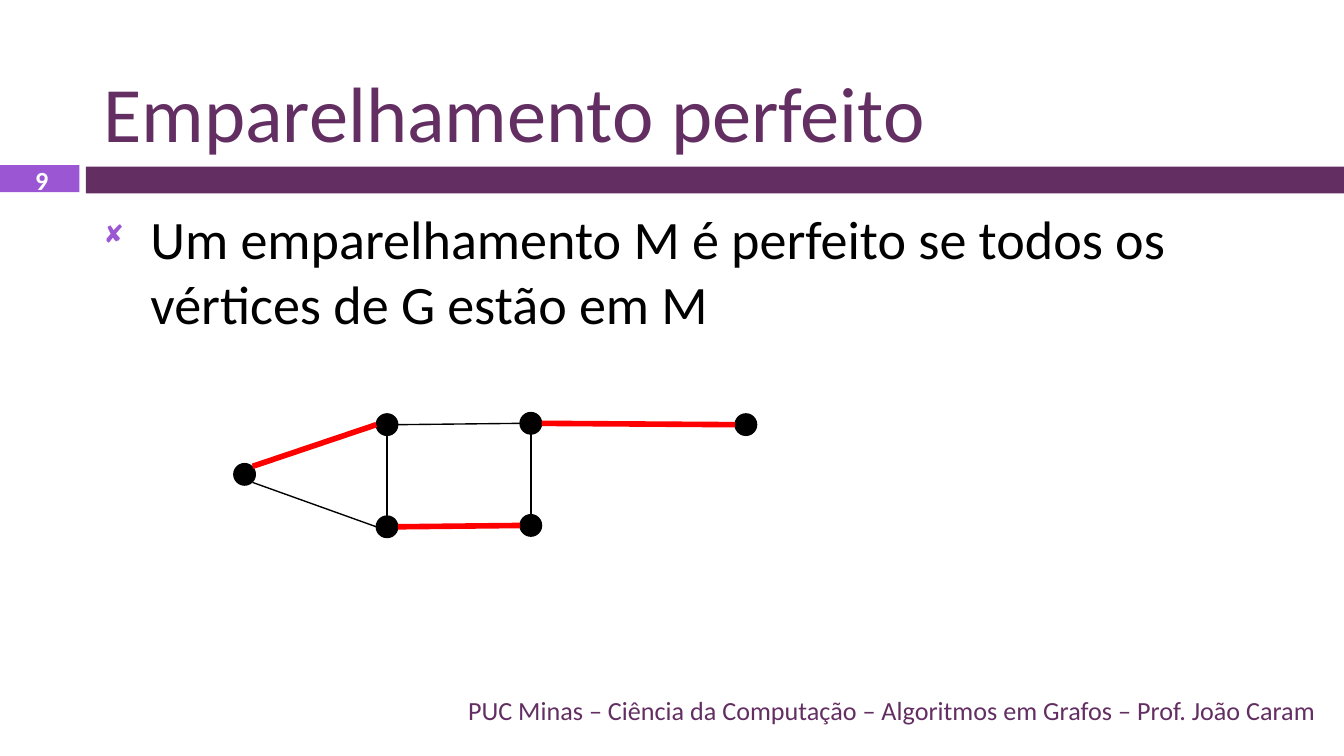
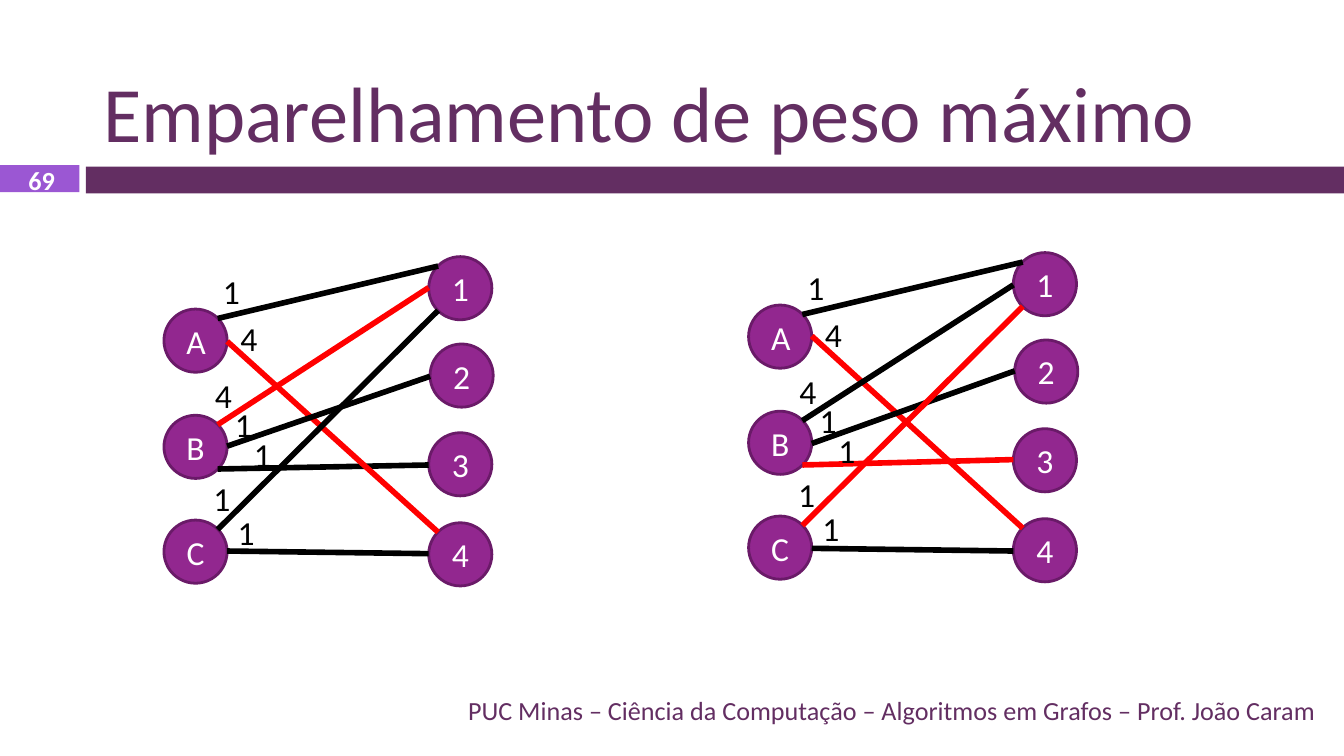
from dataclasses import dataclass
from math import cos, radians, sin

from lxml.etree import SubElement
from pptx import Presentation
from pptx.dml.color import RGBColor as Rgb
from pptx.enum.shapes import MSO_CONNECTOR as Connector
from pptx.enum.shapes import MSO_SHAPE as Preset
from pptx.enum.text import MSO_ANCHOR as Anchor
from pptx.enum.text import MSO_AUTO_SIZE as AutoSize
from pptx.enum.text import PP_ALIGN as Align
from pptx.oxml.ns import qn
from pptx.util import Emu, Pt

EMU_PER_PX = 9144
RIGHT, BOTTOM_RIGHT, BOTTOM, BOTTOM_LEFT = 0, 45, 90, 135
LEFT, TOP_LEFT, TOP, TOP_RIGHT = 180, 225, 270, 315


@dataclass(frozen=True)
class Theme:
    font: str = "Calibri"
    bullet_font: str = "Wingdings"
    plum: Rgb = Rgb(0x63, 0x2E, 0x62)
    violet: Rgb = Rgb(0x9B, 0x57, 0xD3)
    purple: Rgb = Rgb(0x92, 0x27, 0x8F)
    outline: Rgb = Rgb(0x6A, 0x1A, 0x68)
    black: Rgb = Rgb(0, 0, 0)
    white: Rgb = Rgb(255, 255, 255)
    red: Rgb = Rgb(255, 0, 0)
    title: int = 42
    body: int = 29
    label: int = 18
    small: int = 14
    thin: float = 0.75
    rim: float = 1.5
    thick: float = 3


THEME = Theme()
FOOTER = "PUC Minas – Ciência da Computação – Algoritmos em Grafos – Prof. João Caram"

VERTEX_SIZE = 16
VERTICES = {
    "top left": (280, 308),
    "top right": (387, 307),
    "bottom left": (280, 384),
    "bottom right": (387, 383),
    "west": (174, 345),
    "east": (547, 308),
}
GRAPH_EDGES = [
    ("bottom left", TOP, "top left", BOTTOM, False),
    ("top right", LEFT, "top left", RIGHT, False),
    ("top right", BOTTOM, "bottom right", TOP, False),
    ("bottom right", LEFT, "bottom left", RIGHT, True),
    ("east", LEFT, "top right", RIGHT, True),
    ("top left", LEFT, "west", TOP_RIGHT, True),
    ("bottom left", LEFT, "west", BOTTOM_RIGHT, False),
]

NODE_SIZE = 47
NODES = {
    "A": (122, 230),
    "B": (122, 309),
    "C": (122, 387),
    "4": (319, 389),
    "3": (319, 322),
    "1": (319, 191),
    "2": (320, 256),
}
WEIGHTED_EDGES = [
    ("A", TOP_RIGHT, "1", TOP_LEFT, "1", (156, 197)),
    ("B", BOTTOM_RIGHT, "3", LEFT, "1", (179, 318)),
    ("A", RIGHT, "4", TOP_LEFT, "4", (169, 232)),
    ("B", RIGHT, "2", LEFT, "1", (165, 296)),
    ("C", TOP_RIGHT, "1", BOTTOM_LEFT, "1", (149, 351)),
    ("C", RIGHT, "4", LEFT, "1", (167, 376)),
    ("B", TOP_RIGHT, "1", LEFT, "4", (150, 274)),
]
MATCHINGS = [
    ((0, 0), {"A4", "B1"}),
    ((435, -3), {"A4", "B3", "C1"}),
]


def px(length):
    return Emu(length * EMU_PER_PX)


def apply(target, values):
    for name, value in values.items():
        setattr(target, name, value)


def write(shape, text, size, color, bold=False, align=Align.LEFT,
          anchor=Anchor.MIDDLE, wrap=True):
    frame = shape.text_frame
    apply(frame, {
        "word_wrap": wrap,
        "vertical_anchor": anchor,
        "margin_left": px(10),
        "margin_top": px(5),
        "margin_right": px(10),
        "margin_bottom": px(5),
    })
    para = frame.paragraphs[0]
    para.alignment = align
    span = para.add_run()
    span.text = text
    apply(span.font, {"name": THEME.font, "size": Pt(size), "bold": bold})
    span.font.color.rgb = color
    return para


def add_text(page, area, text, size, color, **options):
    box = page.shapes.add_textbox(*map(px, area))
    para = write(box, text, size, color, **options)
    return box, para


def add_filled(page, preset, area, fill, line=None, width=0):
    shape = page.shapes.add_shape(preset, *map(px, area))
    shape.shadow.inherit = False
    shape.fill.solid()
    shape.fill.fore_color.rgb = fill
    if line is None:
        shape.line.fill.background()
    else:
        shape.line.color.rgb = line
        shape.line.width = Pt(width)
    return shape


def add_edge(page, start, end, color, width):
    edge = page.shapes.add_connector(Connector.STRAIGHT, *map(px, start + end))
    edge.line.color.rgb = color
    edge.line.width = Pt(width)
    SubElement(edge._element.spPr, qn("a:effectLst"))


def rim_point(corner, size, angle):
    radius = size / 2
    left, top = corner
    return (round(left + radius + radius * cos(radians(angle))),
            round(top + radius + radius * sin(radians(angle))))


def add_bullet(para, char, color, percent, indent):
    props = para._p.get_or_add_pPr()
    props.set("marL", str(px(indent)))
    props.set("indent", str(-px(indent)))
    fill = SubElement(props, qn("a:buClr"))
    SubElement(fill, qn("a:srgbClr"), val=str(color))
    SubElement(props, qn("a:buSzPct"), val=str(percent * 1000))
    SubElement(props, qn("a:buFont"), typeface=THEME.bullet_font)
    SubElement(props, qn("a:buChar"), char=char)


def add_page(deck, title, number):
    page = deck.slides.add_slide(deck.slide_layouts[6])
    add_filled(page, Preset.RECTANGLE, (64, 124, 937, 20), THEME.plum)
    add_filled(page, Preset.RECTANGLE, (0, 123, 59, 20), THEME.violet)
    add_text(page, (67, 13, 922, 110), title, THEME.title, THEME.plum,
             anchor=Anchor.BOTTOM)
    add_text(page, (2, 124, 58, 20), number, THEME.small, THEME.white,
             bold=True, align=Align.CENTER)
    add_text(page, (67, 513, 922, 30), FOOTER, THEME.small, THEME.plum,
             align=Align.RIGHT)
    return page


def add_graph(page):
    for corner in VERTICES.values():
        add_filled(page, Preset.OVAL, (*corner, VERTEX_SIZE, VERTEX_SIZE),
                   THEME.black, THEME.black, THEME.thin)
    for source, leave, target, arrive, matched in GRAPH_EDGES:
        add_edge(page,
                 rim_point(VERTICES[source], VERTEX_SIZE, leave),
                 rim_point(VERTICES[target], VERTEX_SIZE, arrive),
                 THEME.red if matched else THEME.black,
                 THEME.thick if matched else THEME.thin)


def add_weighted_graph(page, offset, matching):
    def shift(point):
        return point[0] + offset[0], point[1] + offset[1]

    for name, corner in NODES.items():
        node = add_filled(page, Preset.OVAL,
                          (*shift(corner), NODE_SIZE, NODE_SIZE),
                          THEME.purple, THEME.outline, THEME.rim)
        write(node, name, THEME.label, THEME.white, align=Align.CENTER)
    for source, leave, target, arrive, _, _ in WEIGHTED_EDGES:
        add_edge(page,
                 rim_point(shift(NODES[source]), NODE_SIZE, leave),
                 rim_point(shift(NODES[target]), NODE_SIZE, arrive),
                 THEME.red if source + target in matching else THEME.black,
                 THEME.thick)
    for *_, weight, corner in WEIGHTED_EDGES:
        box, _ = add_text(page, (*shift(corner), 34, 40), weight, THEME.label,
                          THEME.black, anchor=Anchor.TOP, wrap=False)
        box.text_frame.auto_size = AutoSize.SHAPE_TO_FIT_TEXT


def main():
    deck = Presentation()
    width = px(1000)
    apply(deck, {"slide_width": width, "slide_height": Emu(width * 9 // 16)})

    perfect = add_page(deck, "Emparelhamento perfeito", "9")
    _, para = add_text(
        perfect, (67, 148, 922, 358),
        "Um emparelhamento M é perfeito se todos os vértices de G estão em M",
        THEME.body, THEME.black, anchor=Anchor.TOP)
    add_bullet(para, "◻", THEME.violet, 60, 35)
    add_graph(perfect)

    heaviest = add_page(deck, "Emparelhamento de peso máximo", "69")
    for offset, matching in MATCHINGS:
        add_weighted_graph(heaviest, offset, matching)

    deck.save("out.pptx")


if __name__ == "__main__":
    main()
